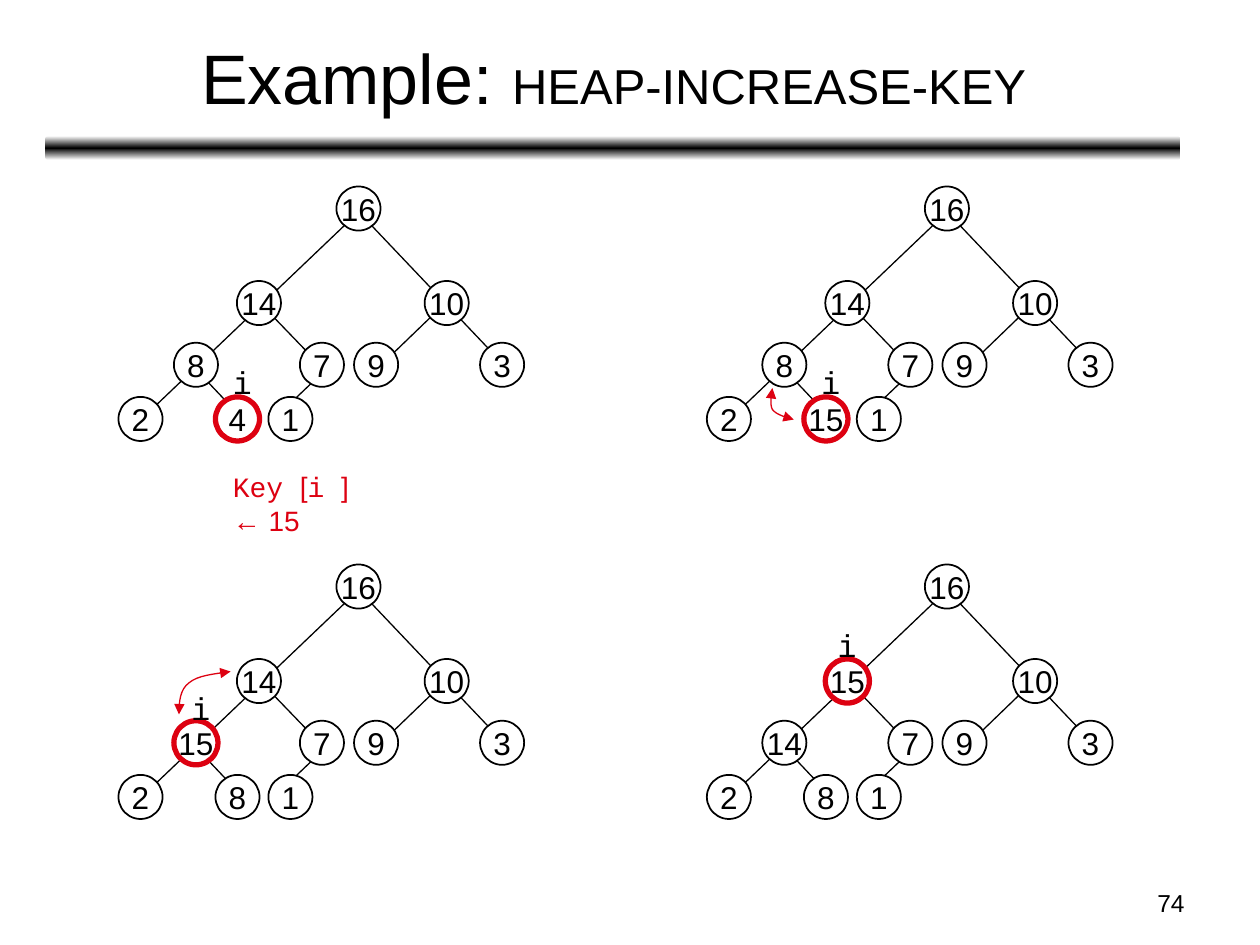
from copy import deepcopy

from pptx import Presentation
from pptx import util as u
from pptx.dml.color import RGBColor
from pptx.enum import shapes, text
from pptx.oxml.ns import qn
from lxml import etree

BLACK, WHITE, RED = "000000", "FFFFFF", "DD0111"
SANS, MONO = "Arial", "Courier New"
NODE_SIZE = 0.35

TITLE = [("Example: ", SANS, 40), ("HEAP-INCREASE-KEY", SANS, 28)]
ASSIGNMENT = [("Key ", MONO, 16), ("[", SANS, 16), ("i ", MONO, 16), ("] ← 15", SANS, 16)]

# Offsets from the corner of a tree, nodes in heap order
NODES = [(1.73, 0), (0.94, 0.75), (2.43, 0.75), (0.44, 1.24), (1.44, 1.24),
         (1.87, 1.24), (2.87, 1.24), (0, 1.67), (0.77, 1.67), (1.19, 1.67)]
EDGES = [((1.24, 1.84), (1.69, 1.41)), ((2.05, 1.45), (2.61, 0.91)),
         ((1.03, 1.89), (0.5, 1.33)), ((1.63, 1.45), (1.09, 0.89)),
         ((3.13, 1.49), (1.8, 0.09)), ((0.19, 1.84), (1.94, 0.17))]

# Each tree: corner, keys, marked node, place of the "i" label,
# and the swap arrow as Bezier points (start, then three per curve)
TREES = [
    {"corner": (0.94, 1.48), "keys": [16, 14, 10, 8, 7, 9, 3, 2, 4, 1],
     "marked": 8, "label": (0.81, 1.35), "swap": []},
    {"corner": (5.61, 1.48), "keys": [16, 14, 10, 8, 7, 9, 3, 2, 15, 1],
     "marked": 8, "label": (0.81, 1.35),
     "swap": [(0.52, 1.6), (0.51, 1.67), (0.5, 1.73), (0.52, 1.77),
              (0.55, 1.81), (0.62, 1.83), (0.69, 1.85)]},
    {"corner": (0.94, 4.48), "keys": [16, 14, 10, 15, 7, 9, 3, 2, 8, 1],
     "marked": 3, "label": (0.48, 0.94),
     "swap": [(0.48, 1.19), (0.48, 1.09), (0.49, 0.99), (0.56, 0.94),
              (0.63, 0.88), (0.76, 0.87), (0.89, 0.85)]},
    {"corner": (5.61, 4.48), "keys": [16, 15, 10, 14, 7, 9, 3, 2, 8, 1],
     "marked": 1, "label": (0.94, 0.44), "swap": []},
]


def rgb(value):
    return RGBColor.from_string(value)


def set_text(shape, runs, color=BLACK, align=text.PP_ALIGN.LEFT,
             anchor=text.MSO_ANCHOR.TOP, wrap=False):
    """Fill a shape with one paragraph of (text, font, size) runs."""
    frame = shape.text_frame
    frame.word_wrap = wrap
    frame.vertical_anchor = anchor
    paragraph = frame.paragraphs[0]
    paragraph.alignment = align
    for words, font, size in runs:
        run = paragraph.add_run()
        run.text = words
        run.font.name = font
        run.font.size = u.Pt(size)
        run.font.color.rgb = rgb(color)


def add_text(parent, left, top, width, height, runs, **style):
    box = parent.shapes.add_textbox(*map(u.Inches, (left, top, width, height)))
    set_text(box, runs, **style)
    return box


def set_line(shape, color, width):
    shape.line.color.rgb = rgb(color)
    shape.line.width = u.Pt(width)


def add_band(slide):
    """Add the bar below the title, fading from black to white both ways."""
    band = slide.shapes.add_shape(shapes.MSO_SHAPE.ROUNDED_RECTANGLE,
                                  *map(u.Inches, (0.36, 1.08, 9.01, 0.19)))
    band.shadow.inherit = False
    band.line.fill.background()
    band.fill.gradient()
    band.fill.gradient_angle = 90
    stop_list = band._element.spPr.find(".//" + qn("a:gsLst"))
    stop_list.append(deepcopy(stop_list[0]))
    for stop, color, position in zip(band.fill.gradient_stops,
                                     (WHITE, BLACK, WHITE), (0, 0.5, 1)):
        stop.color.rgb = rgb(color)
        stop.position = position


def add_edge(group, start, end):
    edge = group.shapes.add_connector(shapes.MSO_CONNECTOR.STRAIGHT,
                                      *map(u.Inches, (*start, *end)))
    set_line(edge, BLACK, 0.75)
    etree.SubElement(edge._element.spPr, qn("a:effectLst"))


def add_node(group, left, top, key, marked):
    node = group.shapes.add_shape(shapes.MSO_SHAPE.OVAL,
                                  *map(u.Inches, (left, top, NODE_SIZE, NODE_SIZE)))
    node.shadow.inherit = False
    node.fill.solid()
    node.fill.fore_color.rgb = rgb(WHITE)
    set_line(node, RED if marked else BLACK, 3 if marked else 1)
    set_text(node, [(str(key), SANS, 18)], align=text.PP_ALIGN.CENTER,
             anchor=text.MSO_ANCHOR.MIDDLE)


def curve_points(controls, steps=8):
    """Sample a chain of cubic Bezier curves, in whole EMU."""
    points = [tuple(map(u.Inches, controls[0]))]
    for first in range(0, len(controls) - 1, 3):
        for step in range(1, steps + 1):
            t = step / steps
            weights = ((1 - t) ** 3, 3 * t * (1 - t) ** 2, 3 * t * t * (1 - t), t ** 3)
            points.append(tuple(u.Inches(sum(weight * control[axis] for weight, control
                                             in zip(weights, controls[first:first + 4])))
                                for axis in (0, 1)))
    return points


def add_swap_arrow(group, controls):
    points = curve_points(controls)
    builder = group.shapes.build_freeform(*points[0])
    builder.add_line_segments(points[1:], close=False)
    arrow = builder.convert_to_shape()
    arrow.shadow.inherit = False
    arrow.fill.background()
    set_line(arrow, RED, 0.75)
    for end in ("a:headEnd", "a:tailEnd"):
        etree.SubElement(arrow.line._get_or_add_ln(), qn(end), type="triangle")


def add_tree(slide, tree):
    left, top = tree["corner"]

    def place(point):
        return left + point[0], top + point[1]

    group = slide.shapes.add_group_shape()
    for start, end in EDGES:
        add_edge(group, place(start), place(end))
    for index, (point, key) in enumerate(zip(NODES, tree["keys"])):
        add_node(group, *place(point), key, index == tree["marked"])
    add_text(group, *place(tree["label"]), 0.26, 0.4, [("i", MONO, 18)])
    if tree["swap"]:
        add_swap_arrow(group, [place(point) for point in tree["swap"]])
    return group


def main():
    presentation = Presentation()
    presentation.slide_width, presentation.slide_height = u.Inches(10), u.Inches(7.5)
    slide = presentation.slides.add_slide(presentation.slide_layouts[5])

    title = slide.shapes.title
    title.left, title.top, title.width, title.height = map(u.Inches, (0.37, 0.11, 9, 0.99))
    set_text(title, TITLE, align=text.PP_ALIGN.CENTER,
             anchor=text.MSO_ANCHOR.MIDDLE, wrap=True)
    add_band(slide)
    add_text(slide, 7.17, 7, 2.33, 0.35, [("74", SANS, 14)],
             align=text.PP_ALIGN.RIGHT, wrap=True)

    groups = [add_tree(slide, tree) for tree in TREES]
    assignment = add_text(groups[0], 1.75, 3.68, 1.38, 0.37, ASSIGNMENT,
                          color=RED, wrap=True)
    assignment.text_frame.margin_right = u.Inches(0.2)
    presentation.save("out.pptx")


if __name__ == "__main__":
    main()
